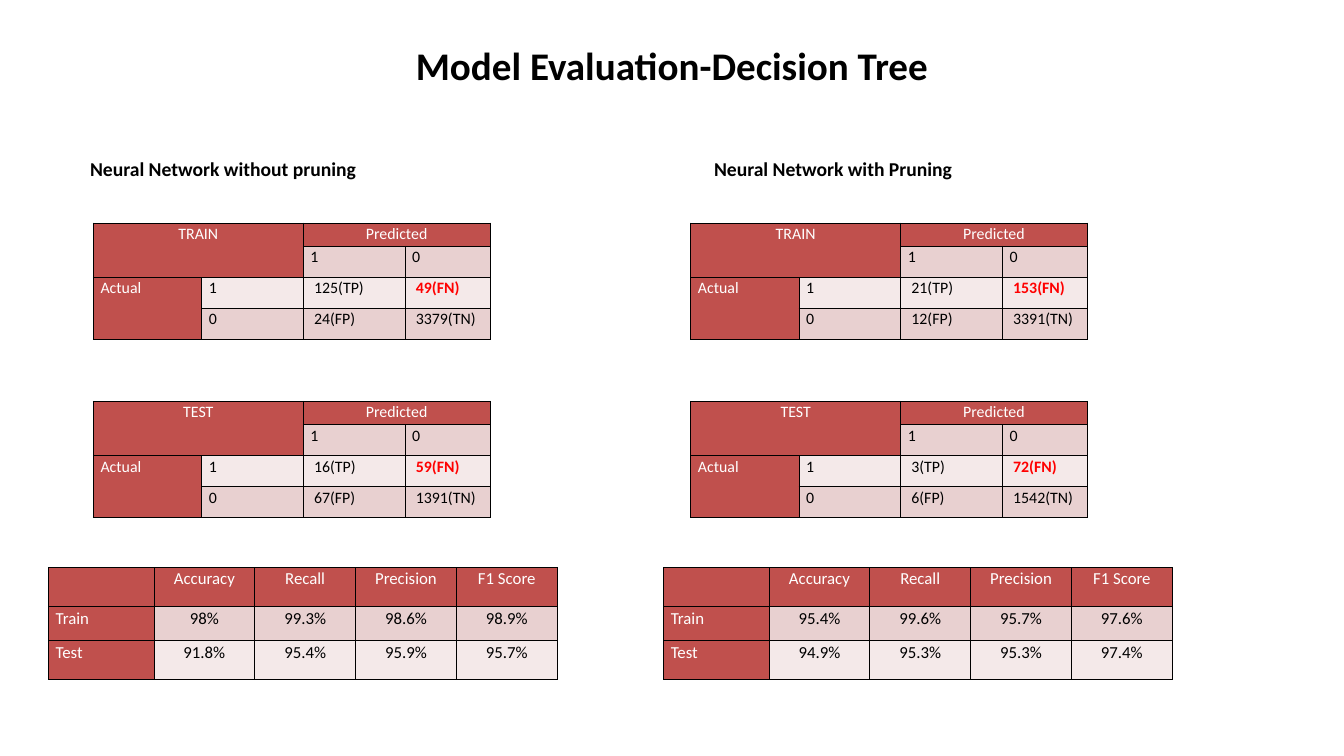
from dataclasses import dataclass
from typing import Optional

from lxml import etree
from pptx import Presentation
from pptx.dml.color import RGBColor
from pptx.enum.text import MSO_ANCHOR, PP_ALIGN
from pptx.oxml.ns import qn
from pptx.slide import Slide
from pptx.table import Table, _Cell
from pptx.text.text import TextFrame
from pptx.util import Pt

LEFT, CENTER = PP_ALIGN.LEFT, PP_ALIGN.CENTER
MIDDLE = MSO_ANCHOR.MIDDLE


@dataclass(frozen=True)
class Theme:
    font: str = "Calibri"
    text: str = "000000"
    header_text: str = "FFFFFF"
    alert: str = "FF0000"
    header: str = "C0504D"
    dark_band: str = "E8D0D0"
    light_band: str = "F4E9E9"
    border: str = "000000"
    title_size: float = 41.9
    heading_size: float = 21
    matrix_size: float = 17
    metrics_size: float = 18
    border_width: float = 1
    cell_inset: float = 7.7
    count_inset: float = 11.5
    line_spacing: float = 1.07


@dataclass(frozen=True)
class ConfusionMatrix:
    name: str
    true_positive: int
    false_negative: int
    false_positive: int
    true_negative: int


@dataclass(frozen=True)
class Panel:
    heading: str
    heading_left: float
    matrix_left: float
    metrics_left: float
    matrices: tuple[ConfusionMatrix, ...]
    metrics: tuple[tuple[str, ...], ...]


THEME = Theme()
SLIDE_WIDTH, SLIDE_HEIGHT = 1440, 810
MATRIX_TOPS = (239, 430)
MATRIX_COLUMNS = (116, 109, 109, 91)
MATRIX_ROWS = (25, 33.3, 33.3, 33.3)
METRICS_TOP = 608
METRICS_COLUMNS = (113, 108, 108, 108, 108)
METRICS_ROWS = (42, 36.5, 42)
METRICS_HEADER = ("", "Accuracy", "Recall", "Precision", "F1 Score")

PANELS = (
    Panel(
        "Neural Network without pruning", 96.5, 100, 52,
        (ConfusionMatrix("TRAIN", 125, 49, 24, 3379), ConfusionMatrix("TEST", 16, 59, 67, 1391)),
        (("Train", "98%", "99.3%", "98.6%", "98.9%"), ("Test", "91.8%", "95.4%", "95.9%", "95.7%")),
    ),
    Panel(
        "Neural Network with Pruning", 765, 740, 711,
        (ConfusionMatrix("TRAIN", 21, 153, 12, 3391), ConfusionMatrix("TEST", 3, 72, 6, 1542)),
        (("Train", "95.4%", "99.6%", "95.7%", "97.6%"), ("Test", "94.9%", "95.3%", "95.3%", "97.4%")),
    ),
)


def write_text(frame: TextFrame, text: str, *, size: float, color: str = THEME.text,
               bold: bool = False, align: PP_ALIGN = LEFT, spacing: float = 1.0) -> None:
    paragraph = frame.paragraphs[0]
    paragraph.alignment = align
    paragraph.line_spacing = spacing
    run = paragraph.add_run()
    run.text = text
    run.font.name = THEME.font
    run.font.size = Pt(size)
    run.font.bold = bold
    run.font.color.rgb = RGBColor.from_string(color)


def add_label(slide: Slide, text: str, left: float, top: float, width: float, height: float,
              *, size: float, align: PP_ALIGN = LEFT) -> None:
    frame = slide.shapes.add_textbox(Pt(left), Pt(top), Pt(width), Pt(height)).text_frame
    frame.word_wrap = True
    frame.vertical_anchor = MIDDLE
    frame.margin_left = frame.margin_right = frame.margin_top = frame.margin_bottom = 0
    write_text(frame, text, size=size, bold=True, align=align)


def add_borders(cell: _Cell) -> None:
    properties = cell._tc.get_or_add_tcPr()
    for side in ("a:lnL", "a:lnR", "a:lnT", "a:lnB"):
        line = etree.SubElement(properties, qn(side), w=str(Pt(THEME.border_width)))
        fill = etree.SubElement(line, qn("a:solidFill"))
        etree.SubElement(fill, qn("a:srgbClr"), val=THEME.border)


def band_color(row: int) -> str:
    return THEME.dark_band if row % 2 else THEME.light_band


def add_grid(slide: Slide, left: float, top: float, columns: tuple[float, ...],
             rows: tuple[float, ...], header_columns: int) -> Table:
    """Add a bordered table with coloured header cells and banded body rows."""
    table = slide.shapes.add_table(
        len(rows), len(columns), Pt(left), Pt(top), Pt(sum(columns)), Pt(sum(rows))).table
    for column, width in zip(table.columns, columns):
        column.width = Pt(width)
    for row, height in zip(table.rows, rows):
        row.height = Pt(height)
    for row_index, row in enumerate(table.rows):
        for column_index, cell in enumerate(row.cells):
            is_header = row_index == 0 or column_index < header_columns
            add_borders(cell)
            cell.fill.solid()
            cell.fill.fore_color.rgb = RGBColor.from_string(
                THEME.header if is_header else band_color(row_index))
            cell.margin_left = cell.margin_right = Pt(THEME.cell_inset)
            cell.margin_top = cell.margin_bottom = 0
    return table


def add_matrix(slide: Slide, matrix: ConfusionMatrix, left: float, top: float) -> None:
    table = add_grid(slide, left, top, MATRIX_COLUMNS, MATRIX_ROWS, header_columns=1)
    table.cell(1, 1).fill.fore_color.rgb = RGBColor.from_string(THEME.header)
    for first, last in (((0, 0), (1, 1)), ((0, 2), (0, 3)), ((2, 0), (3, 0))):
        table.cell(*first).merge(table.cell(*last))

    def put(row: int, column: int, text: str, inset: Optional[float] = None, **text_format) -> None:
        cell = table.cell(row, column)
        if inset is not None:
            cell.margin_left = Pt(inset)
        write_text(cell.text_frame, text, size=THEME.matrix_size,
                   spacing=THEME.line_spacing, **text_format)

    put(0, 0, matrix.name, color=THEME.header_text, align=CENTER)
    put(0, 2, "Predicted", color=THEME.header_text, align=CENTER)
    put(2, 0, "Actual", color=THEME.header_text)
    for offset, outcome in enumerate("10"):
        put(1, 2 + offset, outcome)
        put(2 + offset, 1, outcome)
    put(2, 2, f"{matrix.true_positive}(TP)", THEME.count_inset)
    put(2, 3, f"{matrix.false_negative}(FN)", THEME.count_inset, color=THEME.alert, bold=True)
    put(3, 2, f"{matrix.false_positive}(FP)", THEME.count_inset)
    put(3, 3, f"{matrix.true_negative}(TN)", THEME.count_inset)


def add_metrics(slide: Slide, metrics: tuple[tuple[str, ...], ...], left: float) -> None:
    table = add_grid(slide, left, METRICS_TOP, METRICS_COLUMNS, METRICS_ROWS, header_columns=1)
    for row, values in enumerate((METRICS_HEADER, *metrics)):
        for column, value in enumerate(values):
            if value:
                is_header = row == 0 or column == 0
                write_text(table.cell(row, column).text_frame, value, size=THEME.metrics_size,
                           color=THEME.header_text if is_header else THEME.text,
                           align=CENTER if column else LEFT, spacing=THEME.line_spacing)


def main() -> None:
    presentation = Presentation()
    presentation.slide_width = Pt(SLIDE_WIDTH)
    presentation.slide_height = Pt(SLIDE_HEIGHT)
    slide = presentation.slides.add_slide(presentation.slide_layouts[6])

    add_label(slide, "Model Evaluation-Decision Tree", 99, 40, 1242, 60,
              size=THEME.title_size, align=CENTER)
    for panel in PANELS:
        add_label(slide, panel.heading, panel.heading_left, 165, 480, 32, size=THEME.heading_size)
        for matrix, top in zip(panel.matrices, MATRIX_TOPS):
            add_matrix(slide, matrix, panel.matrix_left, top)
        add_metrics(slide, panel.metrics, panel.metrics_left)
    presentation.save("out.pptx")


if __name__ == "__main__":
    main()
